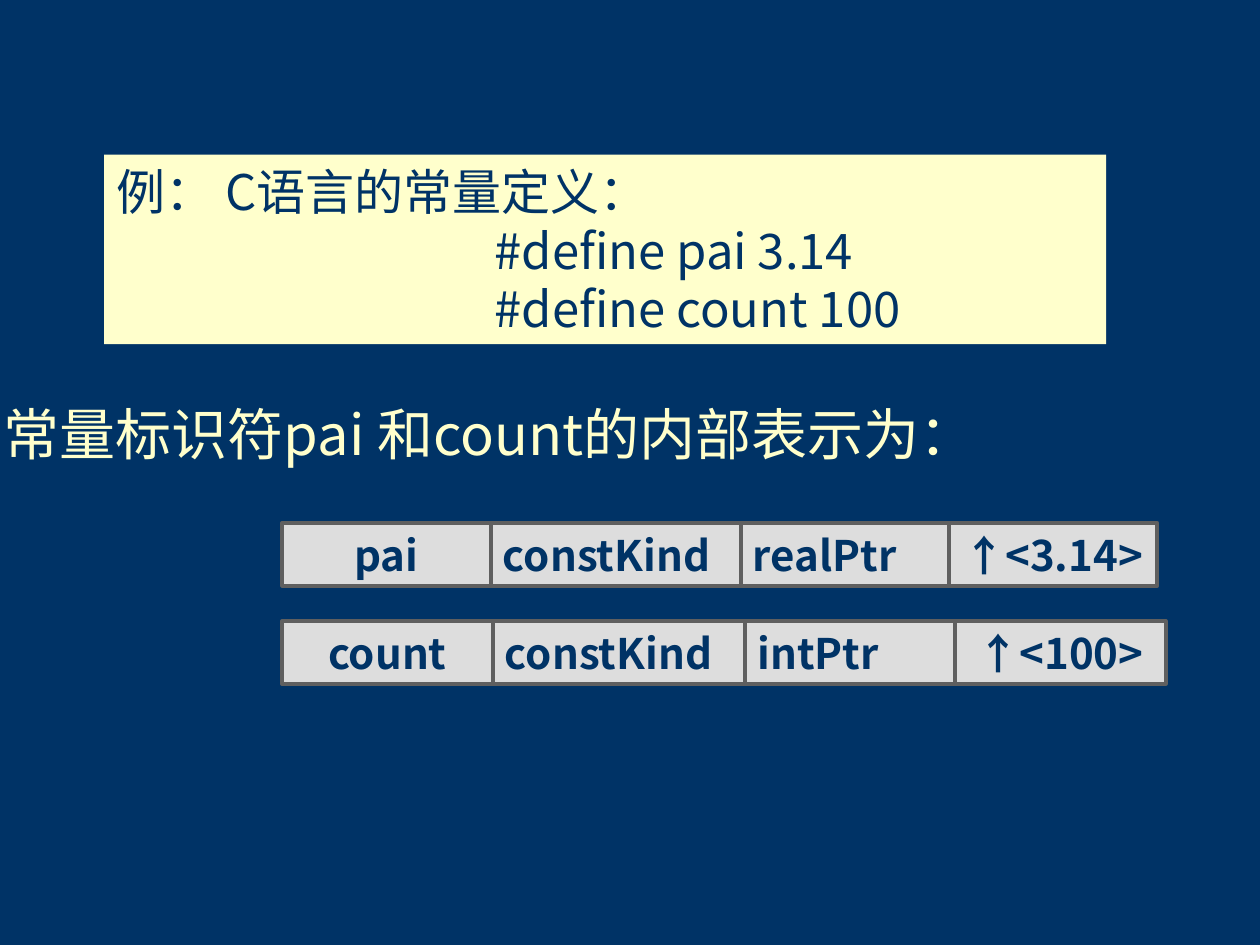
"""Build a slide on how C constant identifiers are represented internally."""
import pptx
import pptx.dml.color
import pptx.enum.shapes
import pptx.enum.text
import pptx.oxml.ns
import pptx.util
from lxml import etree

Cm = pptx.util.Cm
Pt = pptx.util.Pt
LEFT = pptx.enum.text.PP_ALIGN.LEFT
CENTER = pptx.enum.text.PP_ALIGN.CENTER
RECTANGLE = pptx.enum.shapes.MSO_SHAPE.RECTANGLE
FONT = "Noto Sans CJK SC"
NAVY, CREAM, GRAY, DARK_GRAY = "003366", "FFFFCC", "DDDDDD", "5F5F5F"


def color(value):
    return pptx.dml.color.RGBColor.from_string(value)


def write(paragraph, text, text_color, font_format, paragraph_format):
    run = paragraph.add_run()
    run.text = text
    run.font.color.rgb = color(text_color)
    for name, value in font_format.items():
        setattr(run.font, name, value)
    for name, value in paragraph_format.items():
        setattr(paragraph, name, value)
    east_asian = etree.SubElement(run.font._element, pptx.oxml.ns.qn("a:ea"))
    east_asian.set("typeface", FONT)


presentation = pptx.Presentation()
presentation.slide_width = Cm(25.4)
presentation.slide_height = Cm(19.05)
slide = presentation.slides.add_slide(presentation.slide_layouts[6])
slide.background.fill.solid()
slide.background.fill.fore_color.rgb = color(NAVY)

example = slide.shapes.add_shape(RECTANGLE, Cm(2.1), Cm(3.12), Cm(20.2), Cm(3.82))
example.shadow.inherit = False
example.fill.solid()
example.fill.fore_color.rgb = color(CREAM)
example.line.fill.background()
example.text_frame.vertical_anchor = pptx.enum.text.MSO_ANCHOR.MIDDLE
example_lines = [
    ("例： C语言的常量定义：", 0),
    ("#define pai 3.14", 7.62),
    ("#define count 100", 7.62),
]
example_font = {"name": FONT, "size": Pt(28), "bold": False}
for index, (text, indent) in enumerate(example_lines):
    frame = example.text_frame
    paragraph = frame.add_paragraph() if index else frame.paragraphs[0]
    write(paragraph, text, NAVY, example_font, {"alignment": LEFT})
    paragraph._p.get_or_add_pPr().set("marL", str(Cm(indent)))

statement = slide.shapes.add_textbox(Cm(-0.18), Cm(7.92), Cm(22.4), Cm(1.63))
statement.text_frame.word_wrap = True
write(statement.text_frame.paragraphs[0], "常量标识符pai 和count的内部表示为：", CREAM,
      {"name": FONT, "size": Pt(32)}, {"alignment": LEFT})

cell_font = {"name": FONT, "size": Pt(24), "bold": True}
columns = [(1, CENTER), (1.2, LEFT), (1, LEFT), (1, CENTER)]
records = [
    (10.54, 4.2, ["pai", "constKind", "realPtr", "↑<3.14>"]),
    (12.52, 4.24, ["count", "constKind", "intPtr", "↑<100>"]),
]
for top, unit, texts in records:
    record = slide.shapes.add_group_shape()
    left = 5.69
    for (ratio, alignment), text in zip(columns, texts):
        width = unit * ratio
        cell = record.shapes.add_shape(RECTANGLE, Cm(left), Cm(top), Cm(width), Cm(1.27))
        cell.shadow.inherit = False
        cell.fill.solid()
        cell.fill.fore_color.rgb = color(GRAY)
        cell.line.color.rgb = color(DARK_GRAY)
        cell.line.width = Pt(2.25)
        cell.text_frame.vertical_anchor = pptx.enum.text.MSO_ANCHOR.TOP
        write(cell.text_frame.paragraphs[0], text, NAVY, cell_font,
              {"alignment": alignment, "space_before": Pt(6)})
        left += width

presentation.save("out.pptx")
